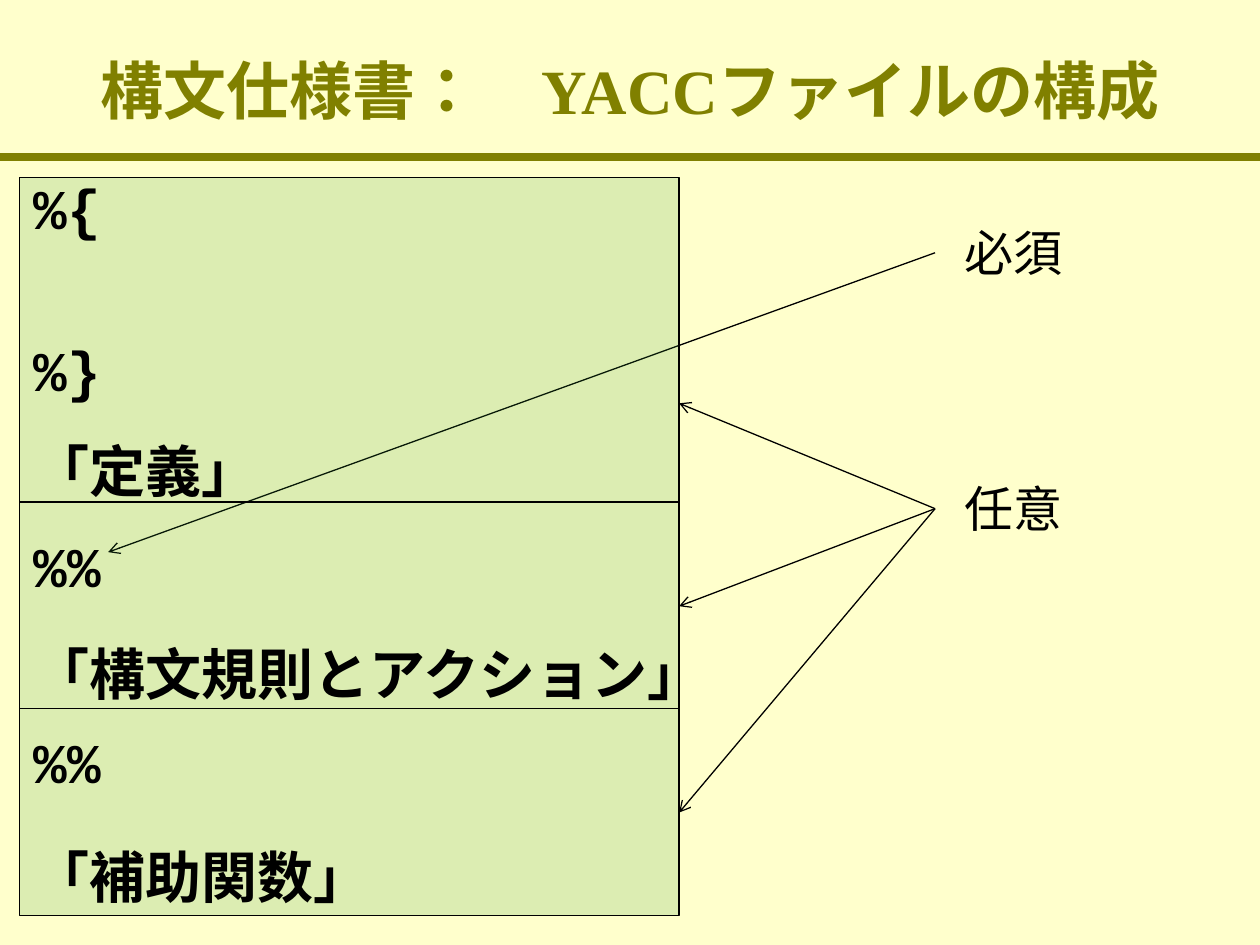
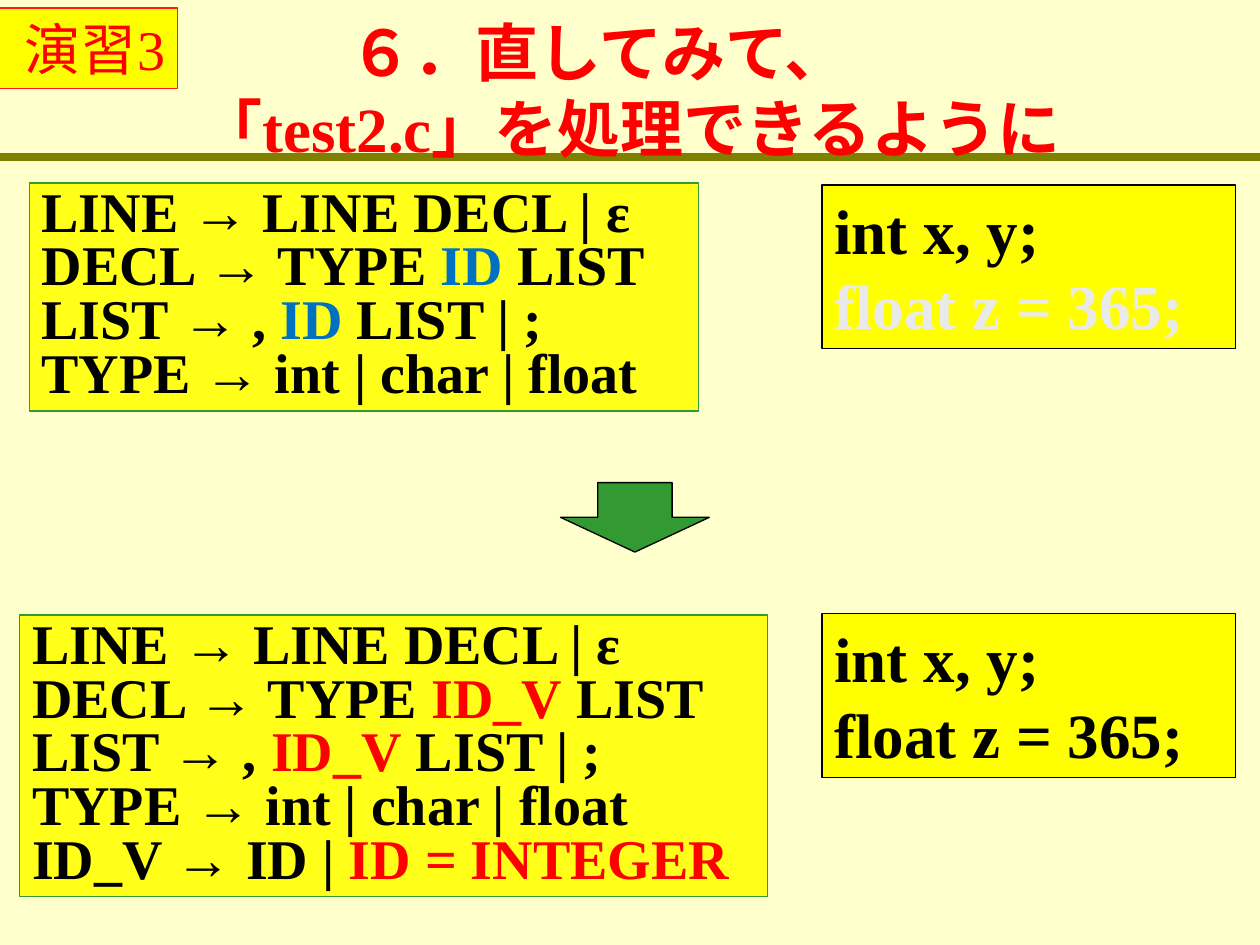
"""Build two slides on the layout of a YACC file and a grammar exercise."""
from itertools import pairwise

from lxml import etree
from pptx import Presentation
from pptx.dml.color import RGBColor
from pptx.enum.lang import MSO_LANGUAGE_ID
from pptx.enum.shapes import MSO_CONNECTOR, MSO_SHAPE
from pptx.enum.text import MSO_ANCHOR, MSO_AUTO_SIZE, PP_ALIGN
from pptx.oxml.ns import qn
from pptx.util import Cm, Pt

LINE = MSO_CONNECTOR.STRAIGHT
RECT, DOWN = MSO_SHAPE.RECTANGLE, MSO_SHAPE.DOWN_ARROW
TOP, MIDDLE = MSO_ANCHOR.TOP, MSO_ANCHOR.MIDDLE
NO_FIT = MSO_AUTO_SIZE.NONE
JAPAN = MSO_LANGUAGE_ID.JAPANESE
LEFT, CENTER, RIGHT, JUSTIFY = (
    PP_ALIGN.LEFT, PP_ALIGN.CENTER, PP_ALIGN.RIGHT, PP_ALIGN.JUSTIFY)

CREAM = RGBColor(0xFF, 0xFF, 0xCC)
OLIVE = RGBColor(0x80, 0x80, 0x00)
BLACK = RGBColor(0x00, 0x00, 0x00)
GREEN = RGBColor(0x33, 0x99, 0x33)
RED = RGBColor(0xFF, 0x00, 0x00)
ROSE = RGBColor(0xFF, 0x1A, 0x1A)
BLUE = RGBColor(0x00, 0x70, 0xC0)
PALE = RGBColor(0xEA, 0xEA, 0xEA)
YELLOW = RGBColor(0xFF, 0xFF, 0x00)
LEMON = RGBColor(0xFF, 0xFF, 0x1A)

SERIF, MONO = "Times New Roman", "Courier New"
WIDE, HIGH = 25.4, 19.05
RULE_Y = 3.17
TITLE_BOX = (0, 0.21, WIDE, RULE_Y)

HEAD = {"name": SERIF, "size": Pt(36), "bold": True, "language_id": JAPAN}
NOTE = {"name": SERIF, "size": Pt(28), "bold": False}
TAG = {"name": SERIF, "size": Pt(32), "bold": False}
GRAM = {"name": SERIF, "size": Pt(32), "bold": True}
CODE = {"name": MONO, "size": Pt(32), "bold": True}

FILE_TITLE = "構文仕様書：　YACCファイルの構成"
PARTS_X, PARTS_W = 0.4, 13.29
PARTS_Y = [3.58, 10.12, 14.29, 18.46]
LIST_BOX = (0.43, 3.38, 24.56, 15.24)
LISTING = [
    ("%{", 0, 1),
    ("%}", 54, 1),
    ("「定義」", 0, 1.5),
    ("%%", 16, 1),
    ("「構文規則とアクション」", 4, 1.5),
    ("%%", 12, 1),
    ("「補助関数」", 8, 1.5),
]
NOTE_X, NOTE_W, NOTE_H = 18.85, 3.18, 1.45
EDGE = PARTS_X + PARTS_W
NOTES = [
    ("必須", 4.37, [(2.18, 11.13)]),
    ("任意", 9.53, [(EDGE, 8.13), (EDGE, 12.22), (EDGE, 16.38)]),
]

TEST_TITLE = "６．直してみて、　\n「test2.c」を処理できるように"
TAG_TEXT, TAG_BOX = "演習3", (-0.03, 0.16, 3.61, 1.62)
ARROW_BOX = (11.3, 9.73, 3, 1.4)
CODE_X, CODE_W, CODE_H = 16.57, 8.34, 3.3
SAMPLE = ["int x, y;", "float z = 365;"]
SAMPLES = [(3.73, PALE), (12.37, BLACK)]
GRAMMARS = [
    ((0.59, 3.69, 13.49, 4.6), BLUE, [
        "LINE → LINE DECL | ε",
        "DECL → TYPE *ID* LIST",
        "LIST → , *ID* LIST | ;",
        "TYPE → int | char | float",
    ]),
    ((0.4, 12.4, 15.08, 5.68), RED, [
        "LINE → LINE DECL | ε",
        "DECL → TYPE *ID_V* LIST",
        "LIST → , *ID_V* LIST | ;",
        "TYPE → int | char | float",
        "ID_V → ID | *ID = INTEGER*",
    ]),
]


def apply(item, values):
    """Set each attribute named in a dict."""
    for name, value in values.items():
        setattr(item, name, value)


def cms(box):
    """Turn a tuple of centimetres into lengths."""
    return [Cm(part) for part in box]


def put(par, text, form, tint):
    """Add one run to a paragraph."""
    run = par.add_run()
    run.text = text
    apply(run.font, form)
    run.font.color.rgb = tint


def rows(frame, count):
    """Give a frame the wanted number of paragraphs."""
    for _ in range(count - 1):
        frame.add_paragraph()
    return frame.paragraphs


def draw(slide, kind, box, fill, edge):
    """Add a filled and outlined shape."""
    shape = slide.shapes.add_shape(kind, *cms(box))
    shape.shadow.inherit = False
    shape.fill.solid()
    shape.fill.fore_color.rgb = fill
    shape.line.color.rgb = edge
    shape.line.width = Pt(0.75)
    apply(shape.text_frame, {"vertical_anchor": TOP, "word_wrap": True})
    return shape


def link(slide, start, end, tint, width):
    """Add a straight line without a shadow."""
    line = slide.shapes.add_connector(LINE, *cms(start + end))
    line.line.color.rgb = tint
    line.line.width = Pt(width)
    etree.SubElement(line.element.spPr, qn("a:effectLst"))
    return line


def point(line):
    """Put an open arrowhead at the end of a line."""
    edge = line.element.spPr.find(qn("a:ln"))
    etree.SubElement(edge, qn("a:tailEnd")).set("type", "arrow")


def veil(shape, share):
    """Set the opacity of a solid fill in percent."""
    tint = shape.element.spPr.find(qn("a:solidFill"))[0]
    etree.SubElement(tint, qn("a:alpha")).set("val", str(share * 1000))


def start(deck, layout, text, tint):
    """Add a slide with a formatted title."""
    slide = deck.slides.add_slide(layout)
    title = slide.shapes.title
    apply(title, dict(zip(("left", "top", "width", "height"), cms(TITLE_BOX))))
    frame = title.text_frame
    apply(frame, {"vertical_anchor": MIDDLE, "auto_size": NO_FIT,
                  "word_wrap": True})
    par = frame.paragraphs[0]
    par.text = text
    par.alignment = CENTER
    for run in par.runs:
        apply(run.font, HEAD)
        run.font.color.rgb = tint
    return slide


def rule(slide, layout):
    """Move a band under the title into the layout."""
    band = link(slide, (0, RULE_Y), (WIDE, RULE_Y), OLIVE, 4.5).element
    band.nvCxnSpPr.cNvPr.set("id", "90")
    layout.shapes.element.append(band)


def parts(slide):
    """Draw the labels, arrows, boxes and listing of the file."""
    for text, top, ends in NOTES:
        box = slide.shapes.add_textbox(*cms((NOTE_X, top, NOTE_W, NOTE_H)))
        box.text_frame.word_wrap = True
        par = box.text_frame.paragraphs[0]
        par.alignment = CENTER
        put(par, text, NOTE, BLACK)
        for end in ends:
            point(link(slide, (NOTE_X, top + NOTE_H / 2), end, BLACK, 0.75))
    for top, base in pairwise(PARTS_Y):
        box = (PARTS_X, top, PARTS_W, base - top)
        veil(draw(slide, RECT, box, GREEN, BLACK), 17)
    frame = slide.shapes.add_textbox(*cms(LIST_BOX)).text_frame
    frame.word_wrap = True
    for par, (text, gap, pitch) in zip(rows(frame, len(LISTING)), LISTING):
        apply(par, {"alignment": JUSTIFY, "space_before": Pt(gap),
                    "line_spacing": float(pitch)})
        props = par._p.get_or_add_pPr()
        props.set("marL", str(Cm(0.95)))
        props.set("indent", str(-Cm(0.95)))
        put(par, text, CODE, BLACK)


def test(slide):
    """Draw the grammars, code samples and exercise tag."""
    for top, last in SAMPLES:
        box = draw(slide, RECT, (CODE_X, top, CODE_W, CODE_H), YELLOW, BLACK)
        pars = rows(box.text_frame, len(SAMPLE))
        for par, text, tint in zip(pars, SAMPLE, (BLACK, last)):
            par.alignment = LEFT
            put(par, text, HEAD, tint)
    for place, accent, lines in GRAMMARS:
        box = draw(slide, RECT, place, LEMON, GREEN)
        for par, line in zip(rows(box.text_frame, len(lines)), lines):
            apply(par, {"alignment": LEFT, "line_spacing": 0.8})
            for spot, text in enumerate(line.split("*")):
                if text:
                    put(par, text, GRAM, accent if spot % 2 else BLACK)
    tag = draw(slide, RECT, TAG_BOX, YELLOW, ROSE).text_frame
    tag.word_wrap = False
    tag.paragraphs[0].alignment = RIGHT
    put(tag.paragraphs[0], TAG_TEXT, TAG, RED)
    draw(slide, DOWN, ARROW_BOX, GREEN, BLACK)


def main():
    """Build and save the deck."""
    deck = Presentation()
    apply(deck, {"slide_width": Cm(WIDE), "slide_height": Cm(HIGH)})
    back = deck.slide_master.background.fill
    back.solid()
    back.fore_color.rgb = CREAM
    layout = deck.slide_layouts[5]
    first = start(deck, layout, FILE_TITLE, OLIVE)
    rule(first, layout)
    parts(first)
    test(start(deck, layout, TEST_TITLE, RED))
    deck.save("out.pptx")


if __name__ == "__main__":
    main()
